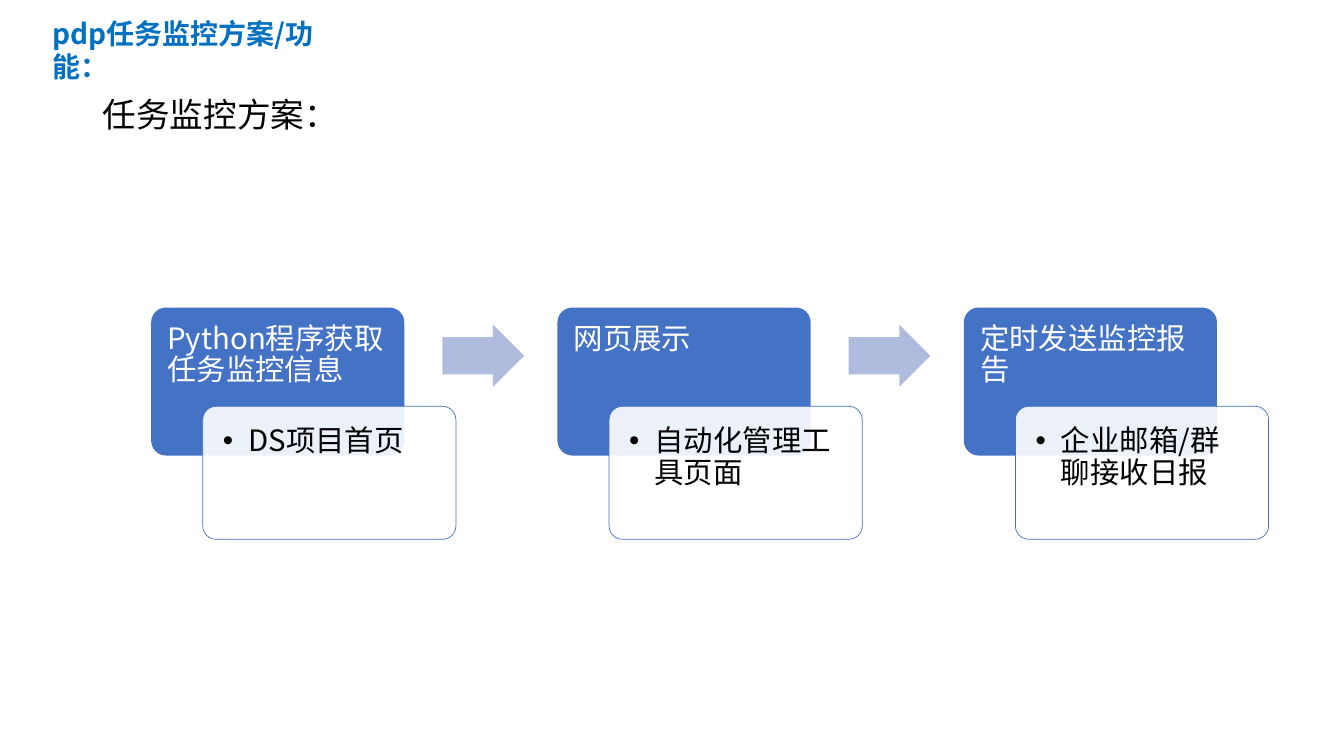
from dataclasses import dataclass

from lxml import etree
from pptx import Presentation
from pptx import util as u
from pptx.dml.color import RGBColor
from pptx.enum import shapes, text
from pptx.oxml import ns

COLORS = {
    "title": "0070C0",
    "ink": "000000",
    "paper": "FFFFFF",
    "step": "4472C4",
    "arrow": "B0BCDE",
}
FONT = "Noto Sans CJK SC"
KIND = shapes.MSO_SHAPE
STEP_LEFT, STEP_TOP, STEP_PITCH = 3.81, 7.75, 10.24
BULLET_INDENT = u.Cm(0.64)


@dataclass(frozen=True)
class Step:
    heading: str
    detail: str


@dataclass(frozen=True)
class Frame:
    left: float
    top: float
    width: float
    height: float

    def lengths(self) -> tuple:
        return tuple(map(u.Cm, (self.left, self.top, self.width, self.height)))


STEPS = [
    Step("Python程序获取任务监控信息", "DS项目首页"),
    Step("网页展示", "自动化管理工具页面"),
    Step("定时发送监控报告", "企业邮箱/群聊接收日报"),
]


def rgb(name: str) -> RGBColor:
    return RGBColor.from_string(COLORS[name])


def add_shape(page, kind, frame: Frame, fill: str, adjustments: tuple,
              line: str | None = None, alpha: int | None = None):
    box = page.shapes.add_shape(kind, *frame.lengths())
    box.shadow.inherit = False
    for index, value in enumerate(adjustments):
        box.adjustments[index] = value
    box.fill.solid()
    box.fill.fore_color.rgb = rgb(fill)
    if alpha is not None:
        color = box.fill._xPr.find(f".//{ns.qn('a:srgbClr')}")
        etree.SubElement(color, ns.qn("a:alpha"), val=str(alpha * 1000))
    if line:
        box.line.color.rgb = rgb(line)
        box.line.width = u.Pt(0.5)
    else:
        box.line.fill.background()
    return box


def write(box, words: str, *, size: int, color: str, font: str = FONT,
          bold: bool = False, spacing: float = 1.0,
          inset: float | None = None, bullet: bool = False) -> None:
    frame = box.text_frame
    frame.word_wrap = True
    frame.vertical_anchor = text.MSO_ANCHOR.TOP
    if inset is not None:
        frame.margin_left = frame.margin_right = u.Cm(inset)
        frame.margin_top = frame.margin_bottom = u.Cm(inset)
    para = frame.paragraphs[0]
    para.alignment = text.PP_ALIGN.LEFT
    para.line_spacing = spacing
    if bullet:
        para.level = 1
        properties = para._p.get_or_add_pPr()
        properties.set("marL", str(BULLET_INDENT))
        properties.set("indent", str(-BULLET_INDENT))
        etree.SubElement(properties, ns.qn("a:buFont"), typeface="Arial")
        etree.SubElement(properties, ns.qn("a:buChar"), char="•")
    span = para.add_run()
    span.text = words
    span.font.size = u.Pt(size)
    span.font.bold = bold
    span.font.color.rgb = rgb(color)
    span.font.name = font
    etree.SubElement(span._r.get_or_add_rPr(), ns.qn("a:ea"), typeface=FONT)


def add_label(page, words: str, frame: Frame, **style) -> None:
    box = page.shapes.add_textbox(*frame.lengths())
    write(box, words, **style)
    box.text_frame.auto_size = text.MSO_AUTO_SIZE.SHAPE_TO_FIT_TEXT


def add_step(page, step: Step, left: float) -> None:
    heading = add_shape(page, KIND.ROUNDED_RECTANGLE,
                        Frame(left, STEP_TOP, 6.38, 3.73), "step", (0.1,))
    write(heading, step.heading, size=21, color="paper", spacing=0.9, inset=0.3)
    detail = add_shape(page, KIND.ROUNDED_RECTANGLE,
                       Frame(left + 1.3, STEP_TOP + 2.49, 6.38, 3.35), "paper",
                       (0.1,), line="step", alpha=90)
    write(detail, step.detail, size=21, color="ink", spacing=0.9, inset=0.41,
          bullet=True)


def add_arrow(page, left: float) -> None:
    add_shape(page, KIND.RIGHT_ARROW,
              Frame(left + 7.34, STEP_TOP + 0.43, 2.06, 1.57), "arrow", (0.6, 0.5))


def main() -> None:
    deck = Presentation()
    deck.slide_width, deck.slide_height = u.Cm(33.87), u.Cm(19.05)
    page = deck.slides.add_slide(deck.slide_layouts[6])
    add_label(page, "pdp任务监控方案/功能：", Frame(1.07, 0.28, 7.65, 1.02),
              size=20, color="title", bold=True)
    add_label(page, "任务监控方案：", Frame(2.34, 2.24, 6.38, 1.27),
              size=24, color="ink", font="Arial")
    for index, step in enumerate(STEPS):
        left = STEP_LEFT + index * STEP_PITCH
        add_step(page, step, left)
        if index < len(STEPS) - 1:
            add_arrow(page, left)
    deck.save("out.pptx")


main()
